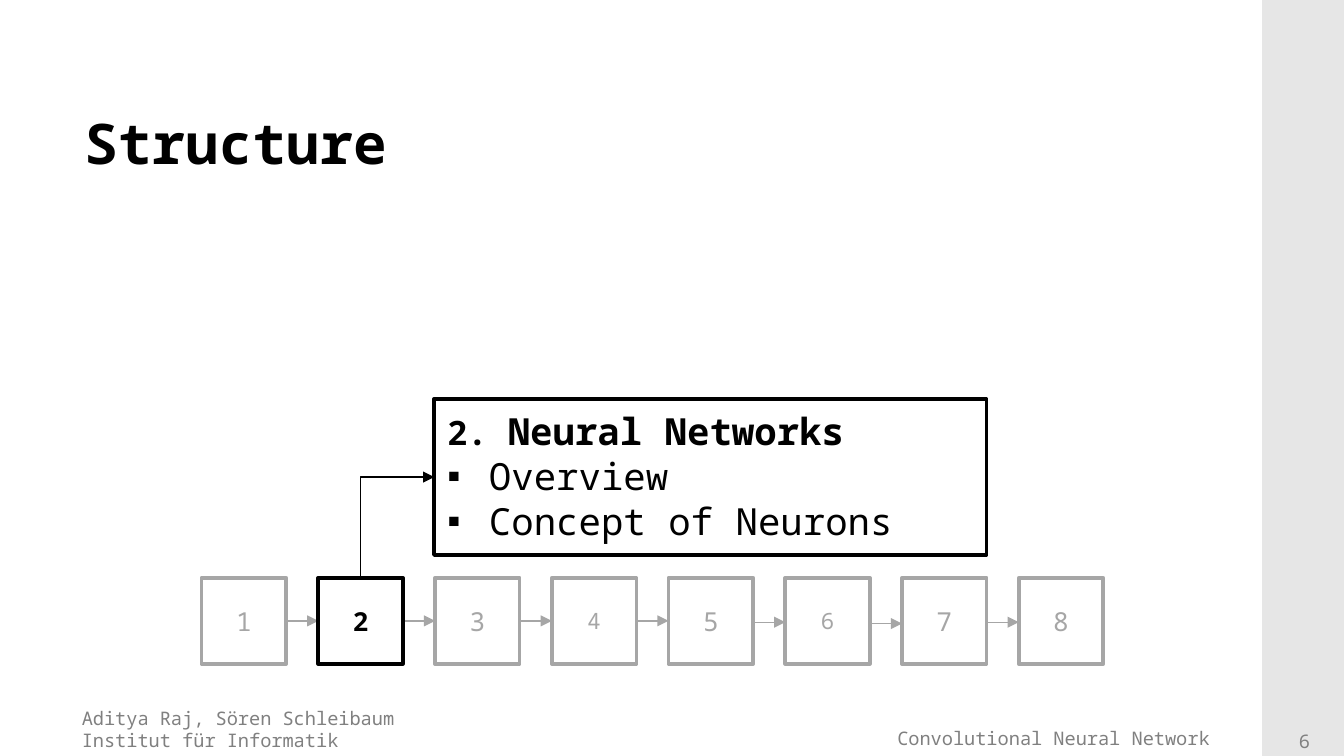
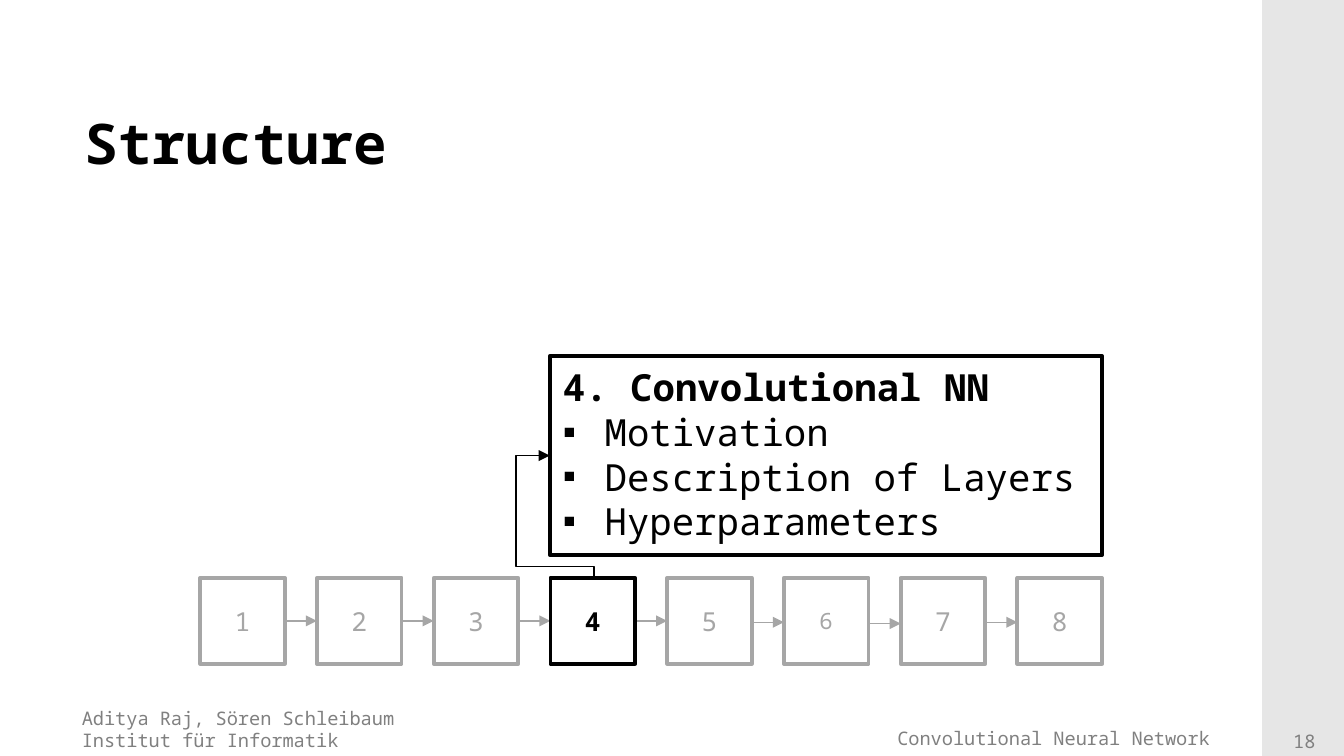
from lxml import etree
from pptx import Presentation
from pptx import util as u
from pptx.dml.color import RGBColor
from pptx.enum import shapes, text
from pptx.oxml.ns import qn

COLORS = {"black": "000000", "white": "FFFFFF", "muted": "A6A6A6",
          "footer": "808080", "band": "E6E6E6"}
FONT, BULLET_FONT = "Noto Sans Mono", "Arial"
LEFT, CENTER, RIGHT = text.PP_ALIGN.LEFT, text.PP_ALIGN.CENTER, text.PP_ALIGN.RIGHT
WIDTH, HEIGHT = 10, 10 * 9 / 16

# Row of numbered steps
STEPS, STEP_Y, STEP_W, STEP_H, PITCH = 8, 4.3, 0.63, 0.64, 6.08 / 7
ARROW_Y = [4.62, 4.62, 4.62, 4.62, 4.63, 4.64, 4.63]
SMALL_DIGITS = (4, 6)

# Elbow: begin and end before rotation, then rotation, preset and adjustments
SLIDES = [
    {"number": "6", "active": 2, "row_x": 1.5,
     "panel": (3.23, 2.97, 4.11, 1.16), "body": (3.23, 2.99, 3.88, 1.11),
     "heading": [("2. ", 18), ("Neural Networks", 20)],
     "bullets": ["Overview", "Concept of Neurons"],
     "elbow": ((3.33, 4.2), (2.58, 3.65), 90, "bentConnector2", [])},
    {"number": "18", "active": 4, "row_x": 1.49,
     "panel": (4.09, 2.65, 4.11, 1.48), "body": (4.09, 2.66, 4.11, 1.45),
     "heading": [("4. Convolutional NN", 20)],
     "bullets": ["Motivation", "Description of Layers", "Hyperparameters"],
     "elbow": ((3.8, 4.01), (4.71, 3.68), 270, "bentConnector4", [9400, 176100])},
]


def add_text(sp, paragraphs, color, bold=False, align=LEFT):
    """Each paragraph is a list of (text, size) runs."""
    tf = sp.text_frame
    tf.word_wrap = True
    for i, runs in enumerate(paragraphs):
        p = tf.add_paragraph() if i else tf.paragraphs[0]
        p.alignment = align
        for content, size in runs:
            r = p.add_run()
            r.text = content
            r.font.name, r.font.size, r.font.bold = FONT, u.Pt(size), bold
            r.font.color.rgb = RGBColor.from_string(COLORS[color])
    return tf


def add_shape(s, box, fill=None, line=None, connector=None):
    """Add a rectangle, or a connector with an arrowhead when its type is given."""
    box = [u.Inches(v) for v in box]
    if connector is None:
        sp = s.shapes.add_shape(shapes.MSO_SHAPE.RECTANGLE, *box)
        sp.shadow.inherit = False
        sp.fill.solid()
        sp.fill.fore_color.rgb = RGBColor.from_string(COLORS[fill])
    else:
        sp = s.shapes.add_connector(connector, *box)
    if line:
        sp.line.color.rgb = RGBColor.from_string(COLORS[line])
        sp.line.width = u.Pt(2 if connector is None else 0.75)
    else:
        sp.line.fill.background()
    if connector is not None:
        ln = sp.line._get_or_add_ln()
        etree.SubElement(ln, qn("a:tailEnd"), type="triangle")
        etree.SubElement(sp._element.spPr, qn("a:effectLst"))
    return sp


prs = Presentation()
prs.slide_width, prs.slide_height = u.Inches(WIDTH), u.Inches(HEIGHT)

for page in SLIDES:
    s = prs.slides.add_slide(prs.slide_layouts[6])

    # Side band, footers and title
    add_shape(s, (9.39, 0, 0.61, HEIGHT), "band")
    frames = []
    for box, lines, size, color, bold, align in [
        ((0.51, 5.21, 4.25, 0.44), ["Aditya Raj, Sören Schleibaum", "Institut für Informatik"],
         10, "footer", False, LEFT),
        ((4.85, 5.25, 4.33, 0.4), ["Convolutional Neural Network"],
         10, "footer", False, RIGHT),
        ((9.45, 5.38, 0.51, 0.27), [page["number"]], 10, "footer", False, CENTER),
        ((0.53, 0.77, 8.64, 0.57), ["Structure"], 30, "black", True, LEFT),
    ]:
        sp = s.shapes.add_textbox(*[u.Inches(v) for v in box])
        frames.append(add_text(sp, [[(t, size)] for t in lines], color, bold, align))
    topic, title = frames[1], frames[3]
    topic.margin_top, topic.margin_right = u.Inches(0.16), u.Inches(0.18)
    title.vertical_anchor = text.MSO_ANCHOR.MIDDLE

    # Arrows between steps
    for i, y in enumerate(ARROW_Y):
        x = page["row_x"] + i * PITCH
        add_shape(s, (x + STEP_W, y, x + PITCH, y), line="muted",
                  connector=shapes.MSO_CONNECTOR.STRAIGHT)

    # Numbered steps, the active one in black
    for n in range(1, STEPS + 1):
        active = n == page["active"]
        color = "black" if active else "muted"
        x = page["row_x"] + (n - 1) * PITCH
        sp = add_shape(s, (x, STEP_Y, STEP_W, STEP_H), "white", color)
        size = 12 if n in SMALL_DIGITS and not active else 14
        tf = add_text(sp, [[(str(n), size)]], color, active, CENTER)
        tf.vertical_anchor = text.MSO_ANCHOR.MIDDLE

    # Elbow from the active step to its panel
    begin, end, rotation, preset, adjustments = page["elbow"]
    sp = add_shape(s, begin + end, line="black", connector=shapes.MSO_CONNECTOR.ELBOW)
    spPr = sp._element.spPr
    spPr.find(qn("a:xfrm")).set("rot", str(rotation * 60000))
    geom = spPr.find(qn("a:prstGeom"))
    geom.set("prst", preset)
    for i, value in enumerate(adjustments, 1):
        etree.SubElement(geom.find(qn("a:avLst")), qn("a:gd"),
                         name=f"adj{i}", fmla=f"val {value}")

    # Panel with heading and bullets
    add_shape(s, page["panel"], "white", "black")
    sp = s.shapes.add_textbox(*[u.Inches(v) for v in page["body"]])
    tf = add_text(sp, [page["heading"]] + [[(t, 20)] for t in page["bullets"]], "black")
    for r in tf.paragraphs[0].runs:
        r.font.bold = True
    for p in tf.paragraphs[1:]:
        pPr = p._p.get_or_add_pPr()
        pPr.set("marL", str(u.Inches(0.31)))
        pPr.set("indent", str(-u.Inches(0.31)))
        etree.SubElement(pPr, qn("a:buFont"), typeface=BULLET_FONT)
        etree.SubElement(pPr, qn("a:buChar"), char="▪")

prs.save("out.pptx")
